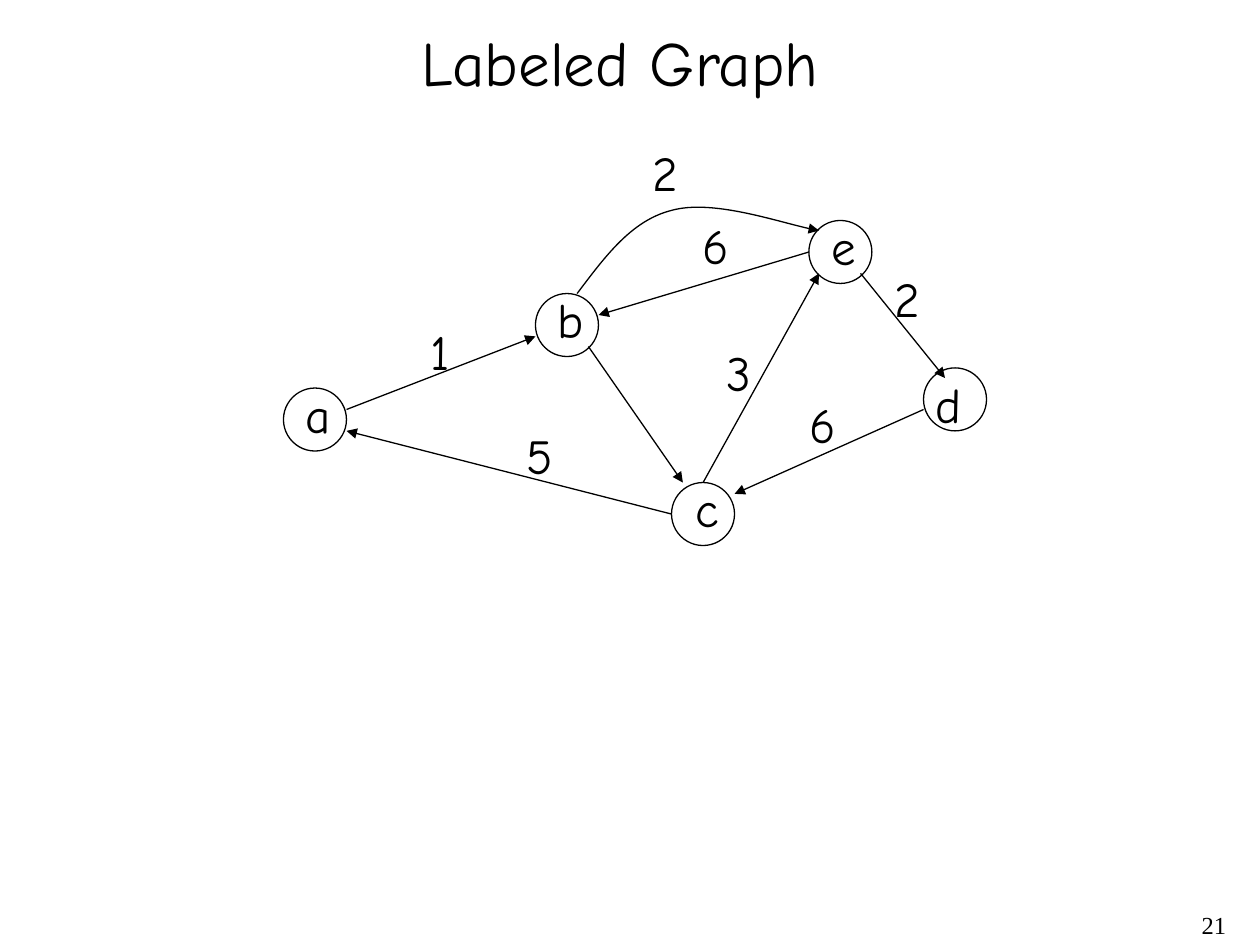
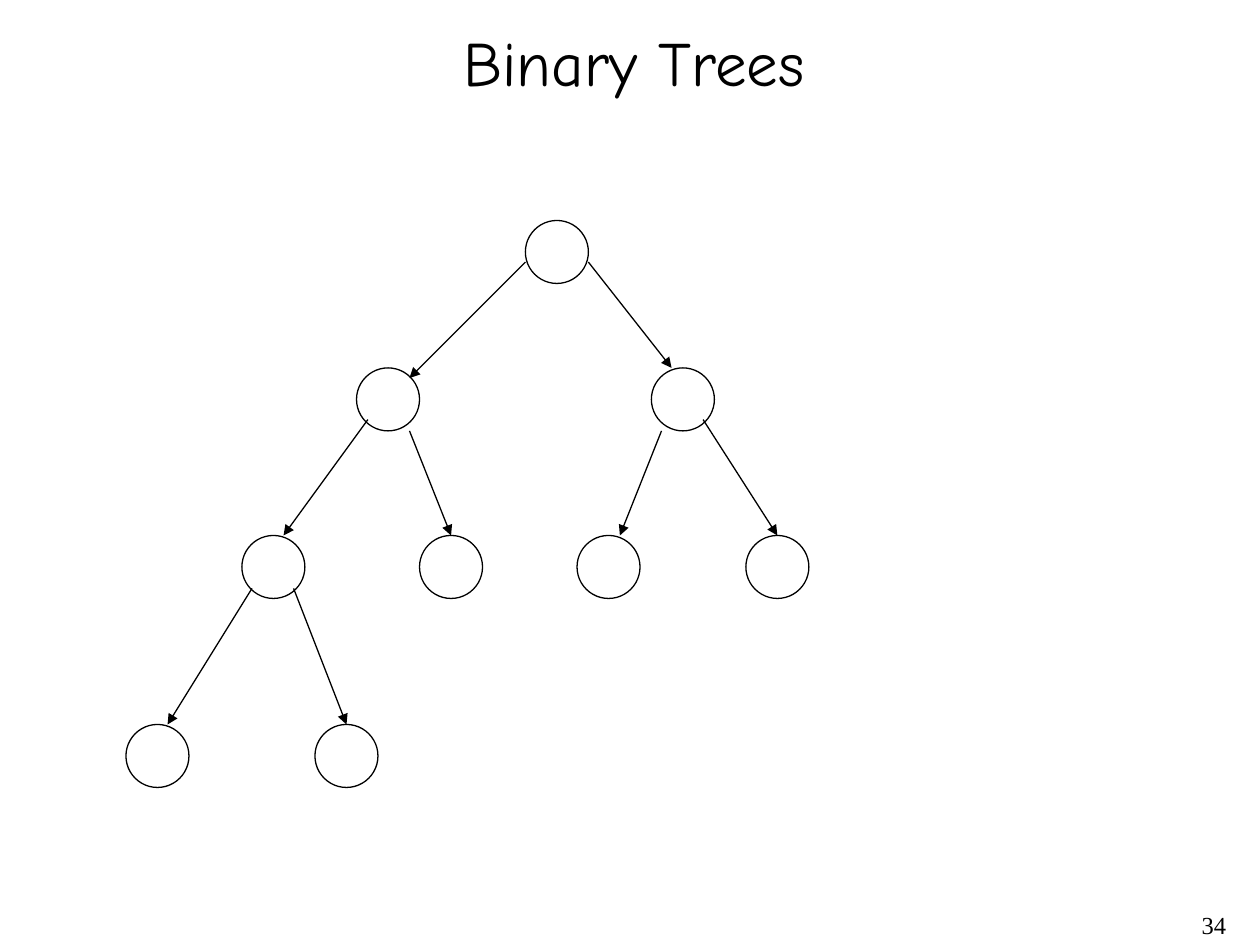
"""Build two slides on graphs: a labeled directed graph and a binary tree."""
import pptx
import pptx.dml.color
import pptx.enum.shapes
import pptx.enum.text
import pptx.oxml.ns
import pptx.oxml.xmlchemy
import pptx.util
from pptx.util import Inches

INK = "000000"
HAND_FONT = "Comic Neue"
NUMBER_FONT = "Times New Roman"
NODE_SIZE = 0.5
LABEL_HEIGHT = 0.57

GRAPH_NODES = [(5.33, 3.83), (4.25, 2.33), (7.33, 2.92), (2.25, 3.08), (6.42, 1.75)]
GRAPH_EDGES = [
    ((2.75, 3.25), (4.25, 2.67)),
    ((4.67, 2.75), (5.42, 3.83)),
    ((5.58, 3.83), (6.5, 2.17)),
    ((7.33, 3.25), (5.83, 3.92)),
    ((5.33, 4.08), (2.75, 3.42)),
    ((6.83, 2.17), (7.5, 3)),
    ((6.42, 2), (4.75, 2.5)),
]
GRAPH_LABELS = [
    ("a", 2.33, 3, 0.4), ("b", 4.33, 2.25, 0.43), ("c", 5.42, 3.75, 0.4),
    ("d", 7.33, 2.92, 0.43), ("e", 6.5, 1.67, 0.41),
    ("1", 3.32, 2.5, 0.38), ("3", 5.67, 2.67, 0.44), ("5", 4.08, 3.33, 0.44),
    ("6", 6.33, 3.08, 0.44), ("2", 7, 2.08, 0.44), ("6", 5.48, 1.66, 0.44),
    ("2", 5.08, 1.08, 0.44),
]
CURVE_B_TO_E = [(4.58, 2.33), (4.8, 2.04), (5.01, 1.75), (5.33, 1.67),
                (5.65, 1.58), (6.26, 1.79), (6.5, 1.83)]

TREE_LEVELS = {1.75: [4.17], 2.92: [2.83, 5.17],
               4.25: [1.92, 3.33, 4.58, 5.92], 5.75: [1, 2.5]}
TREE_EDGES = [
    ((4.17, 2.08), (3.25, 3)),
    ((4.67, 2.08), (5.33, 2.92)),
    ((2.92, 3.33), (2.25, 4.25)),
    ((3.25, 3.42), (3.58, 4.25)),
    ((5.25, 3.42), (4.92, 4.25)),
    ((5.58, 3.33), (6.17, 4.25)),
    ((2, 4.67), (1.33, 5.75)),
    ((2.33, 4.67), (2.75, 5.75)),
]


def rgb(code):
    """Return the colour for a hex string."""
    return pptx.dml.color.RGBColor.from_string(code)


def new_element(tag):
    """Return an empty XML element."""
    return pptx.oxml.xmlchemy.OxmlElement(tag)


def add_text(page, text, left, top, width, height, size, font=HAND_FONT):
    """Add a one-line text box and return it."""
    box = page.shapes.add_textbox(Inches(left), Inches(top), Inches(width), Inches(height))
    box.text_frame.word_wrap = False
    box.text_frame.auto_size = pptx.enum.text.MSO_AUTO_SIZE.SHAPE_TO_FIT_TEXT
    para = box.text_frame.paragraphs[0]
    para.text = text
    para.font.size = pptx.util.Pt(size)
    para.font.name = font
    para.font.color.rgb = rgb(INK)
    return box


def add_page(deck, title, left, width, number):
    """Add a blank slide with its title and page number."""
    page = deck.slides.add_slide(deck.slide_layouts[6])
    add_text(page, title, left, 0.14, width, 0.7, 36)
    box = add_text(page, number, 7.75, 7.17, 2.08, 0.33, 14, NUMBER_FONT)
    box.text_frame.word_wrap = True
    box.text_frame.auto_size = pptx.enum.text.MSO_AUTO_SIZE.NONE
    box.text_frame.paragraphs[0].alignment = pptx.enum.text.PP_ALIGN.RIGHT
    return page


def style_line(shape):
    """Give a shape or connector the thin black line."""
    shape.line.color.rgb = rgb(INK)
    shape.line.width = pptx.util.Pt(0.75)


def add_arrowhead(shape):
    """Put a triangle at the end of a line."""
    line = shape._element.spPr.find(pptx.oxml.ns.qn("a:ln"))
    head = new_element("a:tailEnd")
    head.set("type", "triangle")
    line.append(head)


def add_node(page, left, top):
    """Add an unfilled round node."""
    node = page.shapes.add_shape(pptx.enum.shapes.MSO_SHAPE.OVAL, Inches(left),
                                 Inches(top), Inches(NODE_SIZE), Inches(NODE_SIZE))
    node.fill.background()
    node.shadow.inherit = False
    style_line(node)


def add_edge(page, start, end):
    """Add a straight arrow between two points."""
    edge = page.shapes.add_connector(pptx.enum.shapes.MSO_CONNECTOR.STRAIGHT,
                                     *[Inches(value) for value in (*start, *end)])
    style_line(edge)
    add_arrowhead(edge)
    edge._element.spPr.append(new_element("a:effectLst"))


def add_curve(page, points):
    """Add a curved arrow from a start point and triples of Bezier points."""
    start, *rest = [(Inches(x), Inches(y)) for x, y in points]
    builder = page.shapes.build_freeform(*start)
    builder.add_line_segments(rest, close=False)
    curve = builder.convert_to_shape()
    segments = list(curve._element.iter(pptx.oxml.ns.qn("a:lnTo")))
    for first in range(0, len(segments), 3):
        bezier = new_element("a:cubicBezTo")
        segments[first].addprevious(bezier)
        for segment in segments[first:first + 3]:
            bezier.append(segment[0])
            segment.getparent().remove(segment)
    curve.fill.background()
    curve.shadow.inherit = False
    style_line(curve)
    add_arrowhead(curve)


def build_graph(deck):
    """Build the labeled graph slide."""
    page = add_page(deck, "Labeled Graph", 3.25, 3.55, "21")
    for left, top in GRAPH_NODES:
        add_node(page, left, top)
    for start, end in GRAPH_EDGES:
        add_edge(page, start, end)
    add_curve(page, CURVE_B_TO_E)
    for text, left, top, width in GRAPH_LABELS:
        add_text(page, text, left, top, width, LABEL_HEIGHT, 28)


def build_tree(deck):
    """Build the binary tree slide."""
    page = add_page(deck, "Binary Trees", 3.58, 3.2, "34")
    for top, lefts in TREE_LEVELS.items():
        for left in lefts:
            add_node(page, left, top)
    for start, end in TREE_EDGES:
        add_edge(page, start, end)


def main():
    """Create and save the deck."""
    deck = pptx.Presentation()
    deck.slide_width, deck.slide_height = Inches(10), Inches(7.5)
    build_graph(deck)
    build_tree(deck)
    deck.save("out.pptx")


if __name__ == "__main__":
    main()
